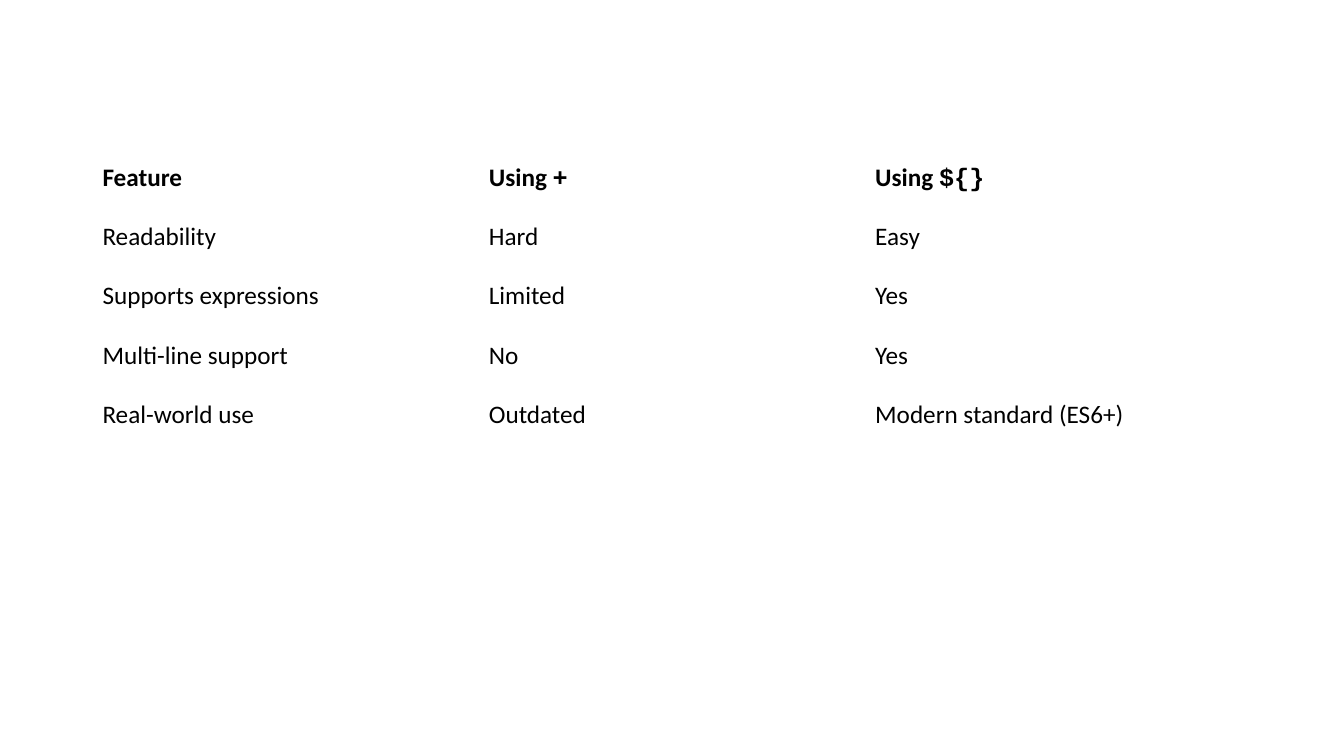
from pptx import Presentation
from pptx.dml.color import RGBColor
from pptx.enum.text import MSO_ANCHOR
from pptx.util import Cm, Pt

HEADERS = [("Feature", ""), ("Using ", "+"), ("Using ", "${}")]
FEATURES = [
    ("Readability", "Hard", "Easy"),
    ("Supports expressions", "Limited", "Yes"),
    ("Multi-line support", "No", "Yes"),
    ("Real-world use", "Outdated", "Modern standard (ES6+)"),
]


def format_cell(cell, bold):
    cell.fill.background()
    cell.vertical_anchor = MSO_ANCHOR.MIDDLE
    font = cell.text_frame.paragraphs[0].font
    font.name = "Calibri"
    font.size = Pt(18)
    font.bold = bold
    font.color.rgb = RGBColor.from_string("000000")


presentation = Presentation()
presentation.slide_width = Cm(33.87)
presentation.slide_height = Cm(19.05)
slide = presentation.slides.add_slide(presentation.slide_layouts[6])

table = slide.shapes.add_table(
    len(FEATURES) + 1, len(HEADERS), Cm(2.33), Cm(3.74), Cm(29.21), Cm(7.45)
).table
table.first_row = False
table.horz_banding = False

for column, (label, code) in enumerate(HEADERS):
    cell = table.cell(0, column)
    paragraph = cell.text_frame.paragraphs[0]
    paragraph.add_run().text = label
    if code:
        code_run = paragraph.add_run()
        code_run.text = code
        code_run.font.name = "Courier New"
    format_cell(cell, bold=True)

for row, values in enumerate(FEATURES, start=1):
    for column, value in enumerate(values):
        cell = table.cell(row, column)
        cell.text = value
        format_cell(cell, bold=False)

presentation.save("out.pptx")
